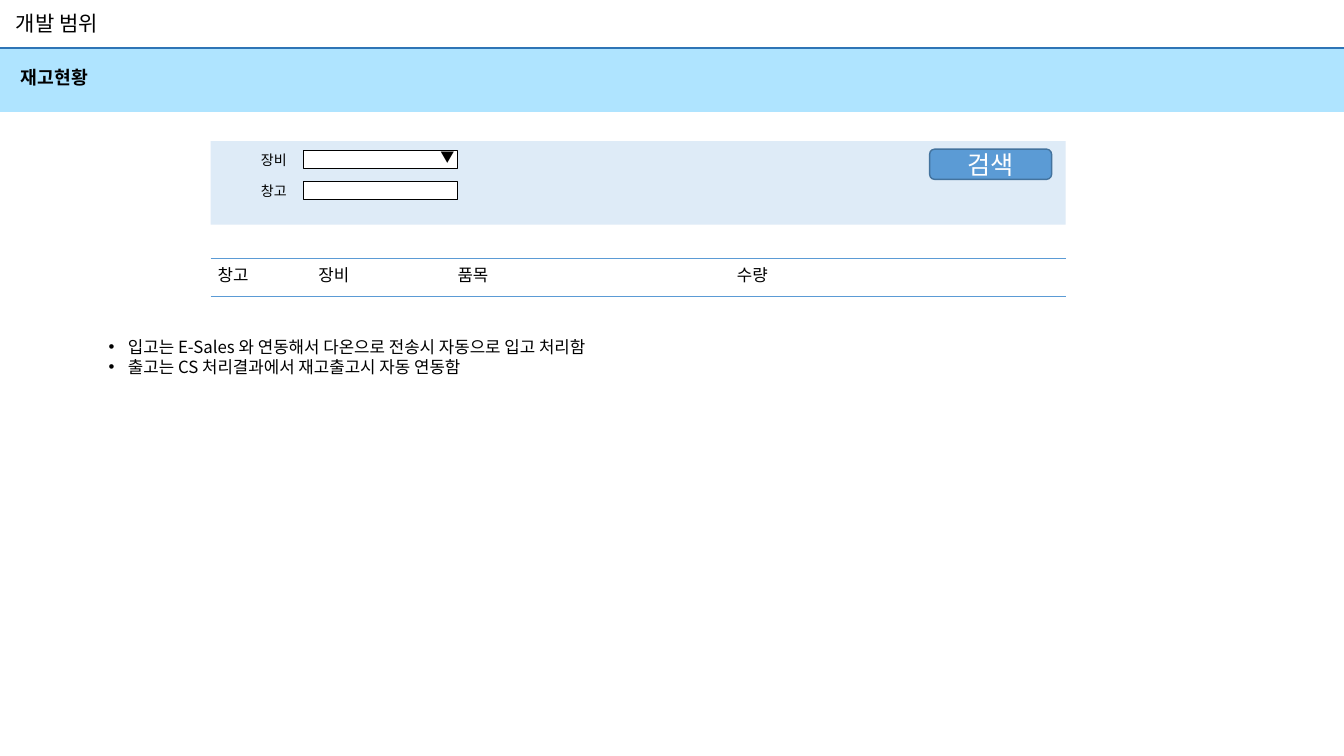
from lxml import etree
from pptx import Presentation
from pptx import util as u
from pptx.dml.color import RGBColor
from pptx.enum import shapes, text
from pptx.oxml import ns

FONT = "Noto Sans CJK KR"
BLACK = RGBColor(0x00, 0x00, 0x00)
WHITE = RGBColor(0xFF, 0xFF, 0xFF)
SKY = RGBColor(0xAF, 0xE4, 0xFF)
PALE = RGBColor(0xDE, 0xEB, 0xF7)
BLUE = RGBColor(0x5B, 0x9B, 0xD5)
BUTTON_EDGE = RGBColor(0x43, 0x73, 0x9E)
DARK_BLUE = RGBColor(0x2E, 0x75, 0xB6)

PANEL_LEFT, PANEL_WIDTH = 2.09, 8.48
HEADER_TABS = (1.0, 2.38, 5.15)


def add_child(parent, tag, **attributes):
    """Append a DrawingML element and return it."""
    return etree.SubElement(parent, ns.qn(tag), attributes)


def write(paragraph, content, size=12, color=BLACK, bold=False):
    """Write a formatted run into a paragraph."""
    run = paragraph.add_run()
    run.text = content
    font = run.font
    font.name, font.size, font.bold = FONT, u.Pt(size), bold
    font.color.rgb = color
    add_child(run._r.get_or_add_rPr(), "a:ea", typeface=FONT)


def add_text(slide, box, *lines, wrap=False, **style):
    """Add a text box with one paragraph per line and return its paragraphs."""
    frame = slide.shapes.add_textbox(*map(u.Inches, box)).text_frame
    frame.word_wrap = wrap
    frame.auto_size = text.MSO_AUTO_SIZE.SHAPE_TO_FIT_TEXT
    for index, line in enumerate(lines):
        paragraph = frame.add_paragraph() if index else frame.paragraphs[0]
        write(paragraph, line, **style)
    return frame.paragraphs


def add_box(slide, box, fill, edge=None, kind=shapes.MSO_SHAPE.RECTANGLE):
    """Add a filled preset shape with an optional outline."""
    shape = slide.shapes.add_shape(kind, *map(u.Inches, box))
    shape.shadow.inherit = False
    shape.fill.solid()
    shape.fill.fore_color.rgb = fill
    if edge is None:
        shape.line.fill.background()
    else:
        shape.line.color.rgb = edge
        shape.line.width = u.Pt(1)
    return shape


def add_rule(slide, left, top, width, color, weight):
    """Add a horizontal line."""
    ends = map(u.Inches, (left, top, left + width, top))
    rule = slide.shapes.add_connector(shapes.MSO_CONNECTOR.STRAIGHT, *ends)
    rule.line.color.rgb = color
    rule.line.width = u.Pt(weight)
    add_child(rule._element.spPr, "a:effectLst")


def add_field(slide, label, top):
    """Add a labelled input field."""
    add_text(slide, (2.49, top, 0.48, 0.27), label, size=10)
    add_box(slide, (3.01, top + 0.04, 1.53, 0.18), WHITE, BLACK)


def add_button(slide, box, label):
    """Add a rounded button with a centred label."""
    button = add_box(slide, box, BLUE, BUTTON_EDGE, shapes.MSO_SHAPE.ROUNDED_RECTANGLE)
    frame = button.text_frame
    frame.vertical_anchor = text.MSO_ANCHOR.MIDDLE
    paragraph = frame.paragraphs[0]
    paragraph.alignment = text.PP_ALIGN.CENTER
    write(paragraph, label, size=18, color=WHITE)


def add_column_heads(slide, box, *heads):
    """Add column headings spaced by tab stops."""
    paragraph = add_text(slide, box, "\t".join(heads), wrap=True)[0]
    stops = add_child(paragraph._p.get_or_add_pPr(), "a:tabLst")
    for position in HEADER_TABS:
        add_child(stops, "a:tab", pos=str(u.Inches(position)), algn="l")


def add_bullets(slide, box, *lines):
    """Add a bulleted list with hanging indents."""
    indent = u.Inches(0.19)
    for paragraph in add_text(slide, box, *lines):
        properties = paragraph._p.get_or_add_pPr()
        properties.set("marL", str(indent))
        properties.set("indent", str(-indent))
        add_child(properties, "a:buFont", typeface="Arial")
        add_child(properties, "a:buChar", char="•")


def main():
    """Build the stock status slide."""
    presentation = Presentation()
    presentation.slide_width = u.Inches(13.33)
    presentation.slide_height = u.Inches(7.5)
    slide = presentation.slides.add_slide(presentation.slide_layouts[6])

    add_box(slide, (0, 0.48, 13.33, 0.63), SKY)
    add_rule(slide, 0, 0.48, 13.33, DARK_BLUE, 1.5)
    add_text(slide, (0.06, 0.06, 1.11, 0.35), "개발 범위", size=15)
    add_text(slide, (0.11, 0.61, 0.93, 0.32), "재고현황", size=13, bold=True)

    add_box(slide, (PANEL_LEFT, 1.4, PANEL_WIDTH, 0.83), PALE)
    for label, top in (("장비", 1.45), ("창고", 1.76)):
        add_field(slide, label, top)
    add_text(slide, (4.27, 1.42, 0.26, 0.27), "▼", size=10, wrap=True)
    add_button(slide, (9.22, 1.48, 1.21, 0.3), "검색")

    for top in (2.56, 2.94):
        add_rule(slide, PANEL_LEFT, top, PANEL_WIDTH, BLUE, 0.5)
    add_column_heads(slide, (2.06, 2.58, 6.97, 0.3), "창고", "장비", "품목", "수량")

    add_bullets(
        slide,
        (0.98, 3.29, 5.45, 0.5),
        "입고는 E-Sales 와 연동해서 다온으로 전송시 자동으로 입고 처리함",
        "출고는 CS 처리결과에서 재고출고시 자동 연동함",
    )
    presentation.save("out.pptx")


main()
